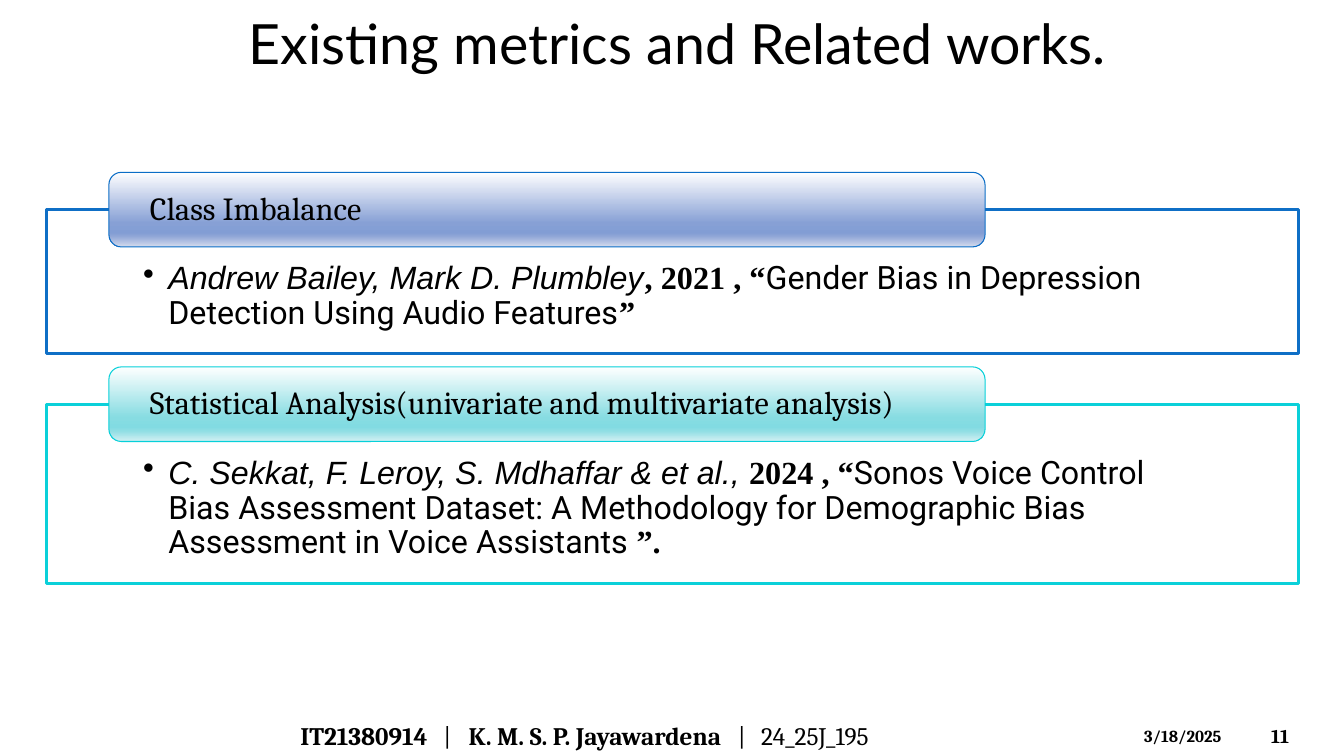
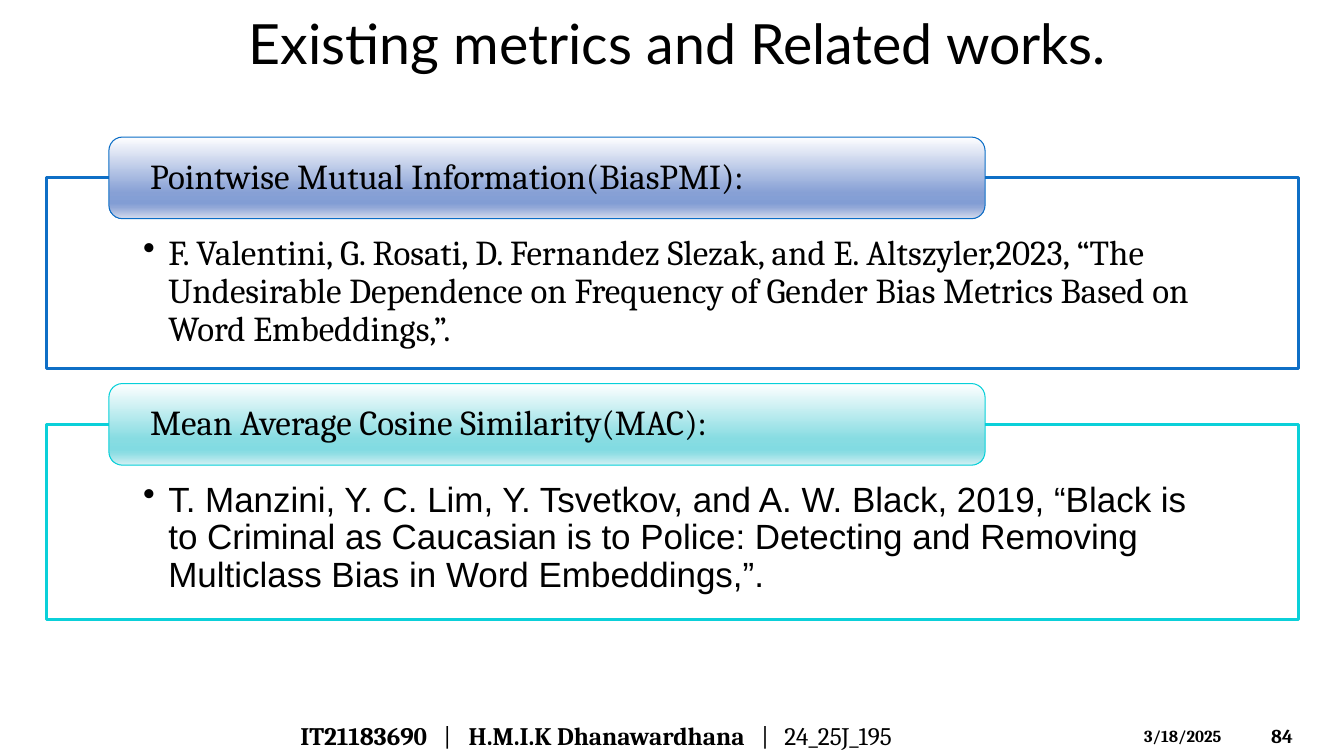
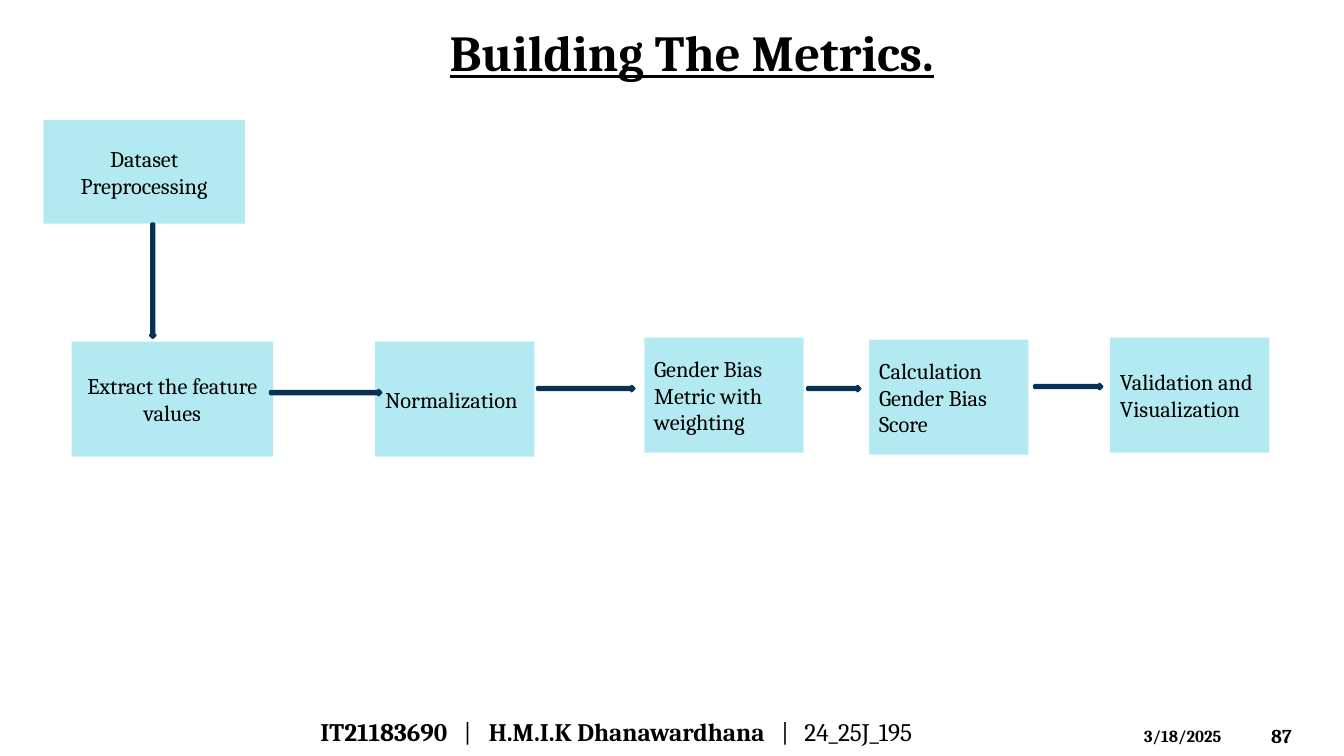
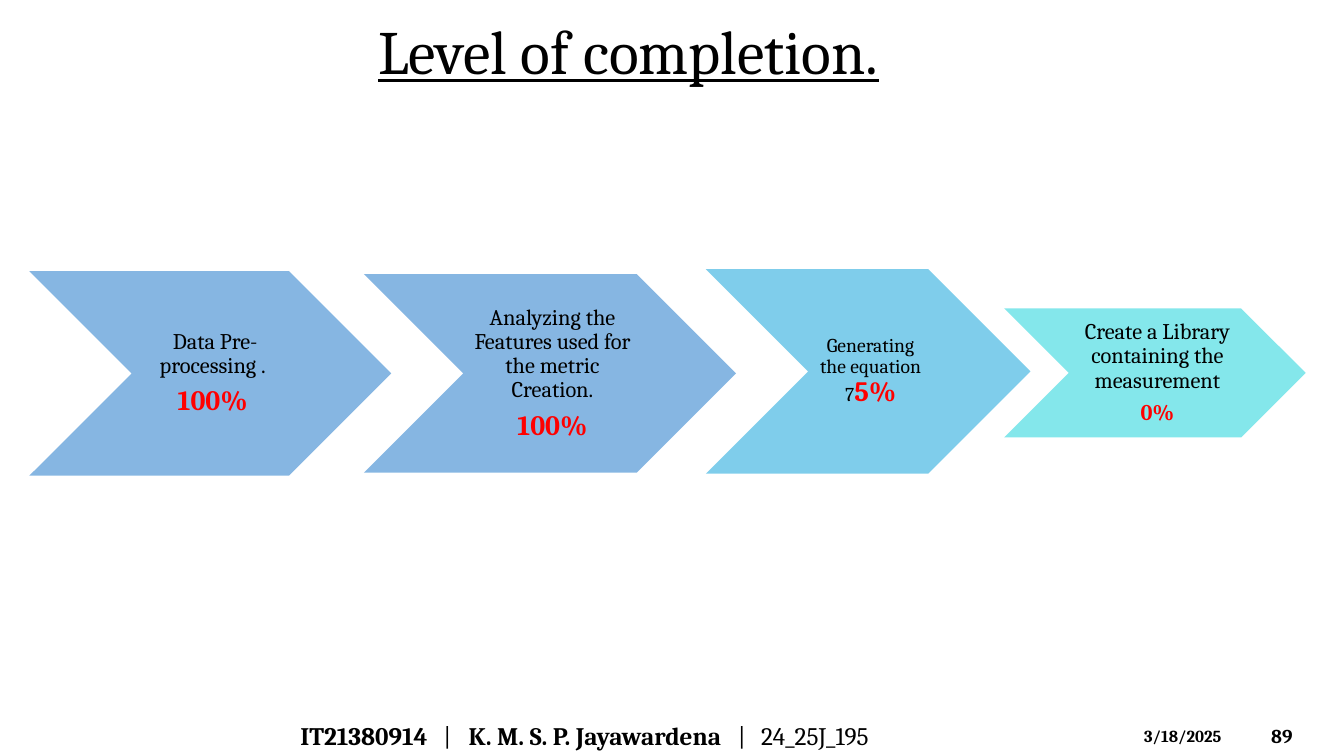
"""Build four slides on bias metrics and related work."""
from dataclasses import dataclass
from typing import Optional

from lxml import etree
from pptx import Presentation
from pptx import util as u
from pptx.dml.color import RGBColor
from pptx.enum import shapes, text
from pptx.oxml import ns

Box = tuple[float, float, float, float]
KIND = shapes.MSO_SHAPE
MID = text.MSO_ANCHOR.MIDDLE
TOP = text.MSO_ANCHOR.TOP
LEFT = text.PP_ALIGN.LEFT
MIDST = text.PP_ALIGN.CENTER
PAD = (0.1, 0.05, 0.1, 0.05)
HUES = {
    "ink": "000000", "paper": "FFFFFF", "red": "FF0000", "pale": "B3EAF2",
    "navy": "073157", "blue": "0F6FC6", "sky": "009DD9", "aqua": "0BD0D9",
    "blue rim": "0A6DC6", "aqua rim": "06D0D9",
}
FADES = {
    "blue": ["FEFEFF", "87A0D5", "829DD4", "91A7D7", "D4DBED"],
    "aqua": ["FEFFFF", "87DCE2", "82DBE2", "90DEE4", "D3F0F3"],
}
STOPS = [0, 68, 81, 86, 100]
DATE = "3/18/2025"
GROUP = "24_25J_195"


@dataclass
class Run:
    """A stretch of text in one style."""
    text: str
    size: float = 16
    face: str = "Cambria"
    bold: bool = False
    slant: bool = False
    line: bool = False
    hue: str = "ink"


@dataclass
class Head:
    """A slide title with its place."""
    run: Run
    box: Box
    align: text.PP_ALIGN = LEFT
    anchor: text.MSO_ANCHOR = TOP


@dataclass
class Person:
    """A student named in the footer, with the tab stop after the name."""
    code: str
    name: str
    end: float


@dataclass
class Card:
    """A labelled box citing one work."""
    label: str
    cite: list[Run]
    high: float
    hue: str


@dataclass
class Deck:
    """The shared measures of a stack of cards."""
    top: float
    tab: float
    gap: float
    inset: float
    size: float


@dataclass
class Step:
    """A box in the flow."""
    text: str
    box: Box
    align: text.PP_ALIGN = LEFT


@dataclass
class Stage:
    """A chevron with its progress."""
    box: Box
    hue: str
    lines: list[list[Run]]


def tint(name: str) -> RGBColor:
    """Return a named colour."""
    return RGBColor.from_string(HUES[name])


def place(box: Box) -> list[u.Length]:
    """Turn a box in inches into lengths."""
    return [u.Inches(side) for side in box]


def write(shape, lines: list[list[Run]], align=LEFT, anchor=MID, pad=PAD,
          space: float = 1, gap: float = 0, grow: bool = False) -> None:
    """Fill a shape with styled paragraphs."""
    frame = shape.text_frame
    frame.word_wrap = True
    fit = text.MSO_AUTO_SIZE
    frame.auto_size = fit.SHAPE_TO_FIT_TEXT if grow else fit.NONE
    frame.vertical_anchor = anchor
    (frame.margin_left, frame.margin_top,
     frame.margin_right, frame.margin_bottom) = place(pad)
    for index, line in enumerate(lines):
        para = frame.add_paragraph() if index else frame.paragraphs[0]
        para.alignment = align
        para.line_spacing = space
        if index:
            para.space_before = u.Pt(gap)
        for part in line:
            run = para.add_run()
            run.text = part.text
            font = run.font
            font.size, font.name = u.Pt(part.size), part.face
            font.bold, font.italic = part.bold, part.slant
            font.underline = part.line
            font.color.rgb = tint(part.hue)


def draw(slide, kind, box: Box, fill: str, rim: str = "", width: float = 2,
         alpha: int = 100):
    """Add a flat preset shape."""
    shape = slide.shapes.add_shape(kind, *place(box))
    shape.shadow.inherit = False
    shape.fill.solid()
    shape.fill.fore_color.rgb = tint(fill)
    if alpha < 100:
        paint = shape.fill._xPr.find(ns.qn("a:solidFill"))[0]
        etree.SubElement(paint, ns.qn("a:alpha"), val=str(alpha * 1000))
    if rim:
        shape.line.color.rgb = tint(rim)
        shape.line.width = u.Pt(width)
    else:
        shape.line.fill.background()
    return shape


def fade(shape, hues: list[str]) -> None:
    """Give a shape a gradient from top to bottom."""
    shape.fill.gradient()
    shape.fill.gradient_angle = 270
    stops = shape.fill._xPr.find(ns.qn("a:gradFill")).find(ns.qn("a:gsLst"))
    for old in list(stops):
        stops.remove(old)
    for spot, hue in zip(STOPS, hues):
        stop = etree.SubElement(stops, ns.qn("a:gs"), pos=str(spot * 1000))
        etree.SubElement(stop, ns.qn("a:srgbClr"), val=hue)


def bullet(para) -> None:
    """Give a paragraph a hanging bullet."""
    props = para._p.get_or_add_pPr()
    props.set("marL", str(u.Inches(0.25)))
    props.set("indent", str(u.Inches(-0.25)))
    etree.SubElement(props, ns.qn("a:buChar"), char="•")


def stops(para, spots: list[float]) -> None:
    """Set left tab stops."""
    tabs = etree.SubElement(para._p.get_or_add_pPr(), ns.qn("a:tabLst"))
    for spot in spots:
        etree.SubElement(tabs, ns.qn("a:tab"), pos=str(u.Inches(spot)), algn="l")


def label(slide, box: Box, lines: list[list[Run]], **style):
    """Add a text box."""
    shape = slide.shapes.add_textbox(*place(box))
    write(shape, lines, **style)
    return shape


def start(show, head: Head, who: Person, page: int,
          left: float = 2.88, top: float = 7.1):
    """Add a slide with its title and footer."""
    slide = show.slides.add_slide(show.slide_layouts[5])
    title = slide.shapes.title
    title.left, title.top, title.width, title.height = place(head.box)
    write(title, [[head.run]], head.align, head.anchor)
    foot = label(slide, (left, top, 7.45, 0.4), [[
        Run(who.code, 18, bold=True), Run("\t|\t", 18),
        Run(who.name, 18, bold=True), Run(f"\t|\t{GROUP}", 18)]])
    stops(foot.text_frame.paragraphs[0], [1.42, 1.67, who.end, who.end + 0.23])
    label(slide, (11.25, 7.15, 1.17, 0.3), [[Run(DATE, 12, bold=True)]],
          anchor=TOP, grow=True)
    label(slide, (12.51, 7.1, 0.74, 0.4), [[Run(str(page), 14, bold=True)]])
    return slide


def stack(slide, deck: Deck, cards: list[Card]) -> None:
    """Draw cards one below the other."""
    top = deck.top
    for card in cards:
        edge = top + deck.tab / 2
        body = draw(slide, KIND.RECTANGLE, (0.46, edge, 12.42, card.high),
                    "paper", card.hue)
        write(body, [card.cite], anchor=TOP, space=0.9,
              pad=(0.96, deck.inset, 0.96, 0.18))
        bullet(body.text_frame.paragraphs[0])
        tab = draw(slide, KIND.ROUNDED_RECTANGLE, (1.08, top, 8.69, deck.tab),
                   "paper", f"{card.hue} rim", 0.75)
        fade(tab, FADES[card.hue])
        write(tab, [[Run(card.label, deck.size)]], space=0.9,
              pad=(0.37, 0, 0.37, 0))
        top = edge + card.high + deck.gap


def source(names: str, year: str, work: str, end: str) -> list[Run]:
    """Style a citation in four parts."""
    times = "Times New Roman"
    return [Run(names, 23, "Arial", slant=True), Run(year, 23, times, True),
            Run(work, 23, "Roboto"), Run(end, 23, times, True)]


WORKS = Head(Run("Existing metrics and Related works.", 39.6, "Lato"),
             (0.33, 0, 12.78, 0.84), MIDST, MID)
BUILD = Head(Run("Building The Metrics.", 36, bold=True, line=True),
             (4.36, 0.16, 6.67, 0.71))
LEVEL = Head(Run("Level of completion.", 44, line=True),
             (3.65, 0.08, 6.04, 0.84))
JAYA = Person("IT21380914", "K. M. S. P. Jayawardena", 4.34)
DHANA = Person("IT21183690", "H.M.I.K Dhanawardhana", 4.57)

STUDIES = [
    Card("Class Imbalance", source(
        "Andrew Bailey, Mark D. Plumbley", ", 2021 , “",
        "Gender Bias in Depression Detection Using Audio Features", "”"),
        1.43, "blue"),
    Card("Statistical Analysis(univariate and multivariate analysis)", source(
        "C. Sekkat, F. Leroy, S. Mdhaffar & et al.,", " 2024 , “",
        "Sonos Voice Control Bias Assessment Dataset: A Methodology for "
        "Demographic Bias Assessment in Voice Assistants ", "”."),
        1.78, "aqua"),
]
SCORES = [
    Card("Pointwise Mutual Information(BiasPMI):", [Run(
        "F. Valentini, G. Rosati, D. Fernandez Slezak, and E. Altszyler,2023, "
        "“The Undesirable Dependence on Frequency of Gender Bias Metrics "
        "Based on Word Embeddings,”.", 25)], 1.89, "blue"),
    Card("Mean Average Cosine Similarity(MAC):", [Run(
        "T. Manzini, Y. C. Lim, Y. Tsvetkov, and A. W. Black, 2019, “Black is "
        "to Criminal as Caucasian is to Police: Detecting and Removing "
        "Multiclass Bias in Word Embeddings,”.", 25, "Arial")], 1.94, "aqua"),
]
STEPS = [
    Step("Dataset Preprocessing", (0.43, 1.19, 2, 1.03), MIDST),
    Step("Extract the feature values", (0.71, 3.39, 2, 1.14), MIDST),
    Step("Normalization", (3.72, 3.39, 1.58, 1.14)),
    Step("Gender Bias Metric with weighting", (6.39, 3.35, 1.58, 1.14)),
    Step("Calculation Gender Bias Score", (8.62, 3.37, 1.58, 1.14)),
    Step("Validation and Visualization", (11.01, 3.35, 1.58, 1.14)),
]
ARROWS = [
    (KIND.RIGHT_ARROW, (2.68, 3.87, 1.1, 0.05)),
    (KIND.RIGHT_ARROW, (5.33, 3.83, 0.96, 0.05)),
    (KIND.RIGHT_ARROW, (8.01, 3.83, 0.52, 0.05)),
    (KIND.RIGHT_ARROW, (10.26, 3.81, 0.67, 0.05)),
    (KIND.DOWN_ARROW, (1.49, 2.22, 0.05, 1.13)),
]


def share(mark: str, size: float = 20) -> Run:
    """Style a progress figure."""
    return Run(mark, size, bold=True, hue="red")


STAGES = [
    Stage((0.29, 2.69, 3.59, 2.03), "blue",
          [[Run(" Data Pre-processing .")], [share("100%")]]),
    Stage((3.61, 2.72, 3.69, 1.97), "blue",
          [[Run("Analyzing the Features used for the metric Creation.")],
           [share("100%")]]),
    Stage((7, 2.67, 3.22, 2.03), "sky",
          [[Run("Generating the equation 7", 14), share("5%")]]),
    Stage((9.96, 3.06, 2.99, 1.28), "aqua",
          [[Run("Create a Library containing the measurement")],
           [share("0%", 16)]]),
]


def main() -> None:
    """Build and save the slides."""
    show = Presentation()
    show.slide_width, show.slide_height = u.Inches(13.33), u.Inches(7.5)
    stack(start(show, WORKS, JAYA, 11),
          Deck(1.71, 0.74, 0.13, 0.52, 23), STUDIES)
    stack(start(show, WORKS, DHANA, 84),
          Deck(1.36, 0.81, 0.15, 0.57, 25), SCORES)
    flow = start(show, BUILD, DHANA, 87, 3.08, 7.06)
    for step in STEPS:
        write(draw(flow, KIND.RECTANGLE, step.box, "pale"),
              [[Run(step.text)]], step.align)
    for kind, box in ARROWS:
        draw(flow, kind, box, "blue", "navy")
    chain = start(show, LEVEL, JAYA, 89)
    for stage in STAGES:
        write(draw(chain, KIND.CHEVRON, stage.box, stage.hue, alpha=50),
              stage.lines, MIDST, pad=(0.07, 0.02, 0.02, 0.02),
              space=0.9, gap=6)
    show.save("out.pptx")


if __name__ == "__main__":
    main()
